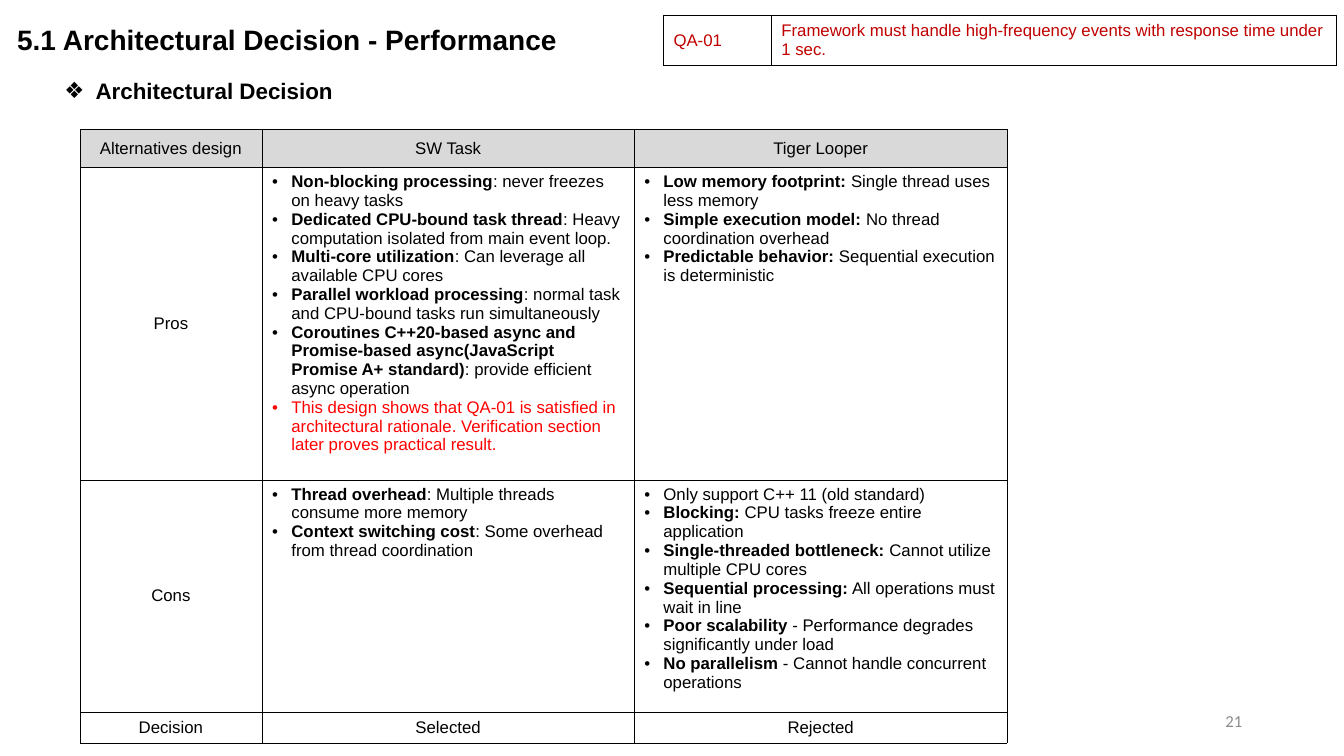
import copy
import pptx
import pptx.dml.color
import pptx.enum.text
import pptx.oxml
import pptx.oxml.ns
import pptx.util
from lxml import etree

RGB = pptx.dml.color.RGBColor
BLACK = RGB(0x00, 0x00, 0x00)
WHITE = RGB(0xFF, 0xFF, 0xFF)
GREY = RGB(0xD9, 0xD9, 0xD9)
DIM = RGB(0x8C, 0x8C, 0x8C)
RED = RGB(0xFF, 0x00, 0x00)
WINE = RGB(0xC0, 0x00, 0x00)

inch = pptx.util.Inches
ALIGN = pptx.enum.text.PP_ALIGN
MID = pptx.enum.text.MSO_ANCHOR.MIDDLE
TOP = pptx.enum.text.MSO_ANCHOR.TOP
qn = pptx.oxml.ns.qn

# Each point is a bold lead, a plain rest and, where it is not black, a colour
TASK_PROS = [
    ("Non-blocking processing", ": never freezes on heavy tasks"),
    ("Dedicated CPU-bound task thread",
     ": Heavy computation isolated from main event loop."),
    ("Multi-core utilization", ": Can leverage all available CPU cores"),
    ("Parallel workload processing",
     ": normal task and CPU-bound tasks run simultaneously"),
    ("Coroutines C++20-based async and Promise-based async(JavaScript "
     "Promise A+ standard)", ": provide efficient async operation"),
    ("", "This design shows that QA-01 is satisfied in architectural "
     "rationale. Verification section later proves practical result.", RED),
]
LOOP_PROS = [
    ("Low memory footprint: ", "Single thread uses less memory"),
    ("Simple execution model: ", "No thread coordination overhead"),
    ("Predictable behavior: ", "Sequential execution is deterministic"),
]
TASK_CONS = [
    ("Thread overhead", ": Multiple threads consume more memory"),
    ("Context switching cost", ": Some overhead from thread coordination"),
]
LOOP_CONS = [
    ("", "Only support C++ 11 (old standard)"),
    ("Blocking: ", "CPU tasks freeze entire \napplication"),
    ("Single-threaded bottleneck: ", "Cannot utilize multiple CPU cores"),
    ("Sequential processing:", " All operations must wait in line"),
    ("Poor scalability ", "- Performance degrades \nsignificantly under load"),
    ("No parallelism", " - Cannot handle concurrent \noperations"),
]
ROWS = [
    ["Alternatives design", "SW Task", "Tiger Looper"],
    ["Pros", TASK_PROS, LOOP_PROS],
    ["Cons", TASK_CONS, LOOP_CONS],
    ["Decision", "Selected", "Rejected"],
]


def add_run(para, text, size=12, bold=False, color=BLACK, face="Arial"):
    """Add text to a paragraph, with a line break at each newline."""
    for i, part in enumerate(text.split("\n")):
        if i:
            para.add_line_break()
            para._p[-1].append(copy.deepcopy(run._r.rPr))
        run = para.add_run()
        run.text = part
        font = run.font
        font.name, font.size, font.bold = face, pptx.util.Pt(size), bold
        font.color.rgb = color


def add_mark(para, mark, indent):
    """Give a paragraph a bullet with a hanging indent."""
    props = para._p.get_or_add_pPr()
    props.set("marL", str(inch(indent)))
    props.set("indent", str(-inch(indent)))
    etree.SubElement(props, qn("a:buFont")).set("typeface", "Arial")
    etree.SubElement(props, qn("a:buChar")).set("char", mark)


def add_edge(cell):
    """Draw a thin black line on all four sides of a cell."""
    props = cell._tc.get_or_add_tcPr()
    for side in ("lnL", "lnR", "lnT", "lnB"):
        line = etree.SubElement(props, qn("a:" + side))
        line.set("w", str(pptx.util.Pt(0.25)))
        fill = etree.SubElement(line, qn("a:solidFill"))
        etree.SubElement(fill, qn("a:srgbClr")).set("val", str(BLACK))


def add_grid(slide, box, cols, rows):
    """Add a plain bordered table and return it."""
    grid = slide.shapes.add_table(len(rows), len(cols), *map(inch, box)).table
    grid.first_row = grid.horz_banding = False
    for col, width in zip(grid.columns, cols):
        col.width = inch(width)
    for row, height in zip(grid.rows, rows):
        row.height = inch(height)
    for cell in grid.iter_cells():
        add_edge(cell)
        cell.vertical_anchor = MID
    return grid


def add_points(cell, points):
    """Fill a cell with bulleted points."""
    cell.vertical_anchor = TOP
    for i, (lead, rest, *tint) in enumerate(points):
        frame = cell.text_frame
        para = frame.add_paragraph() if i else frame.paragraphs[0]
        add_mark(para, "•", 0.19)
        if lead:
            add_run(para, lead, bold=True)
        add_run(para, rest, color=tint[0] if tint else BLACK)


def add_main(slide, box):
    """Comparison of the two designs."""
    grid = add_grid(slide, box, [1.81, 3.69, 3.7], [0.38, 3.1, 2.3, 0.31])
    for r, row in enumerate(ROWS):
        for c, item in enumerate(row):
            cell = grid.cell(r, c)
            if r == 0:
                cell.fill.solid()
                cell.fill.fore_color.rgb = GREY
            else:
                cell.fill.background()
            if isinstance(item, list):
                add_points(cell, item)
            else:
                para = cell.text_frame.paragraphs[0]
                para.alignment = ALIGN.CENTER
                add_run(para, item)


def add_goal(slide, box):
    """Quality attribute in the top right corner."""
    grid = add_grid(slide, box, [1.07, 5.6], [box[3]])
    goal = ["QA-01", "Framework must handle high-frequency events "
            "with response time under 1 sec."]
    for cell, text in zip(grid.iter_cells(), goal):
        cell.fill.solid()
        cell.fill.fore_color.rgb = WHITE
        add_run(cell.text_frame.paragraphs[0], text, color=WINE)


def add_title(slide, box):
    """Slide title in its placeholder."""
    title = slide.shapes.title
    title.left, title.top, title.width, title.height = map(inch, box)
    frame = title.text_frame
    frame.vertical_anchor, frame.word_wrap = TOP, True
    frame.auto_size = pptx.enum.text.MSO_AUTO_SIZE.SHAPE_TO_FIT_TEXT
    para = frame.paragraphs[0]
    para.alignment = ALIGN.LEFT
    add_run(para, "5.1 Architectural Decision - Performance", 20, True)


def add_head(slide, box):
    """Bulleted heading above the comparison."""
    frame = slide.shapes.add_textbox(*map(inch, box)).text_frame
    frame.word_wrap = False
    para = frame.paragraphs[0]
    add_mark(para, "❖", 0.31)
    add_run(para, "Architectural Decision", 16, True)


def add_page(slide, box):
    """Page number."""
    frame = slide.shapes.add_textbox(*map(inch, box)).text_frame
    frame.word_wrap, frame.vertical_anchor = True, MID
    para = frame.paragraphs[0]
    para.alignment = ALIGN.RIGHT
    add_run(para, "21", color=DIM, face="Calibri")


def main():
    deck = pptx.Presentation()
    deck.slide_width, deck.slide_height = inch(13.33), inch(7.5)
    slide = deck.slides.add_slide(deck.slide_layouts[5])
    add_page(slide, (9.42, 6.95, 3, 0.4))
    add_title(slide, (0.07, 0.17, 5.71, 0.44))
    add_head(slide, (0.54, 0.72, 2.9, 0.91))
    add_main(slide, (0.79, 1.28, 9.2, 6.09))
    add_goal(slide, (6.58, 0.15, 6.67, 0.5))
    deck.save("out.pptx")


if __name__ == "__main__":
    main()
